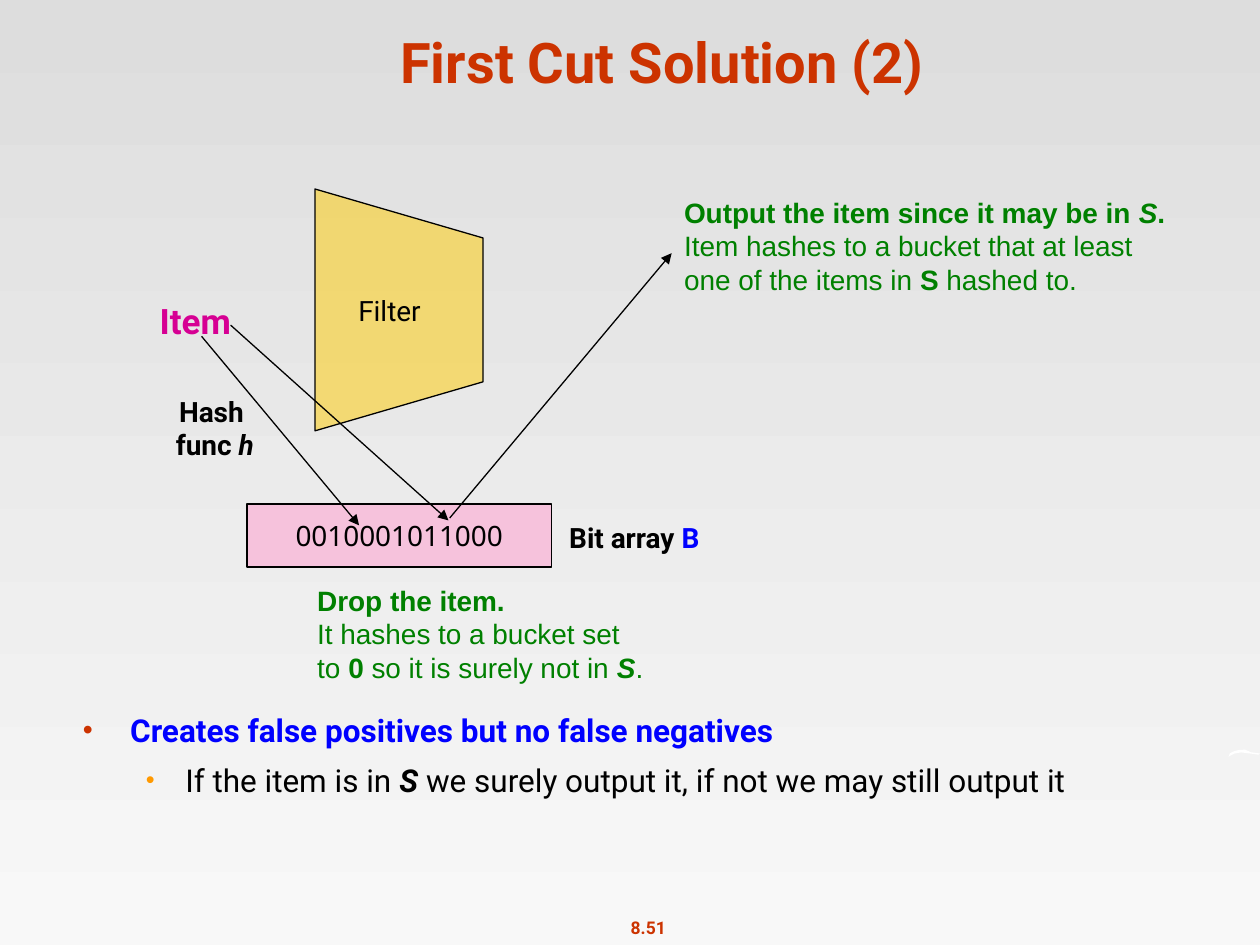
"""Build the slide on the first cut of a hash filter."""
from typing import NamedTuple, Optional

from lxml import etree
from pptx import Presentation, util as u
from pptx.dml import color
from pptx.enum import shapes, text
from pptx.oxml import ns

LEFT, CENTER = text.PP_ALIGN.LEFT, text.PP_ALIGN.CENTER
TOP, MIDDLE, BOTTOM = text.MSO_ANCHOR.TOP, text.MSO_ANCHOR.MIDDLE, text.MSO_ANCHOR.BOTTOM
RED, BLUE, GREEN, BLACK = "CC3300", "0000FF", "008000", "000000"


class Span(NamedTuple):
    text: str
    bold: Optional[bool] = None
    italic: Optional[bool] = None
    hue: Optional[str] = None


class Para(NamedTuple):
    spans: list
    bold: bool = False
    hue: str = BLACK
    bullet: Optional[tuple] = None


class Style(NamedTuple):
    size: float = 16
    face: str = "Roboto"
    align: text.PP_ALIGN = LEFT
    anchor: text.MSO_ANCHOR = TOP
    wrap: bool = False


class Label(NamedTuple):
    at: tuple
    paras: list
    style: Style = Style()


class Arrow(NamedTuple):
    start: tuple
    end: tuple


def rgb(value: str) -> color.RGBColor:
    return color.RGBColor.from_string(value)


def points(values: tuple) -> list:
    return [u.Pt(value) for value in values]


def add_bullet(paragraph, indent: float, hang: float, hue: str, percent: int) -> None:
    props = paragraph._p.get_or_add_pPr()
    props.set("marL", str(u.Pt(indent)))
    props.set("indent", str(-u.Pt(hang)))
    bullet_color = etree.SubElement(props, ns.qn("a:buClr"))
    etree.SubElement(bullet_color, ns.qn("a:srgbClr")).set("val", hue)
    etree.SubElement(props, ns.qn("a:buSzPct")).set("val", str(percent * 1000))
    etree.SubElement(props, ns.qn("a:buFont")).set("typeface", "Arial")
    etree.SubElement(props, ns.qn("a:buChar")).set("char", "•")


def write(frame, paras: list, style: Style) -> None:
    frame.word_wrap = style.wrap
    frame.vertical_anchor = style.anchor
    for index, para in enumerate(paras):
        paragraph = frame.add_paragraph() if index else frame.paragraphs[0]
        paragraph.alignment = style.align
        paragraph.font.size = u.Pt(style.size)
        paragraph.font.name = style.face
        paragraph.font.bold = para.bold
        paragraph.font.color.rgb = rgb(para.hue)
        if para.bullet:
            paragraph.level = index
            paragraph.space_before = u.Pt(7 * index)
            add_bullet(paragraph, *para.bullet)
        for span in para.spans:
            for number, line in enumerate(span.text.split("\n")):
                if number:
                    paragraph.add_line_break()
                run = paragraph.add_run()
                run.text = line
                run.font.size = u.Pt(style.size)
                run.font.name = style.face
                run.font.bold = para.bold if span.bold is None else span.bold
                run.font.italic = span.italic
                run.font.color.rgb = rgb(span.hue or para.hue)


def add_label(page, label: Label) -> None:
    box = page.shapes.add_textbox(*points(label.at))
    write(box.text_frame, label.paras, label.style)


def paint(shape, fill: str, line: Optional[str] = None, alpha: int = 100) -> None:
    shape.shadow.inherit = False
    shape.fill.solid()
    shape.fill.fore_color.rgb = rgb(fill)
    if alpha < 100:
        solid = shape._element.spPr.find(ns.qn("a:solidFill"))
        etree.SubElement(solid[0], ns.qn("a:alpha")).set("val", str(alpha * 1000))
    if line:
        shape.line.color.rgb = rgb(line)
        shape.line.width = u.Pt(0.75)
    else:
        shape.line.fill.background()


def add_outline(page, corners: list):
    first, *rest = [points(corner) for corner in corners]
    builder = page.shapes.build_freeform(*first)
    builder.add_line_segments(rest, close=True)
    return builder.convert_to_shape()


def add_arrow(page, arrow: Arrow) -> None:
    line = page.shapes.add_connector(
        shapes.MSO_CONNECTOR.STRAIGHT, *points(arrow.start + arrow.end))
    line.line.color.rgb = rgb(BLACK)
    line.line.width = u.Pt(0.75)
    etree.SubElement(line.line._get_or_add_ln(), ns.qn("a:tailEnd")).set("type", "triangle")
    etree.SubElement(line._element.spPr, ns.qn("a:effectLst"))


SWOOSH = [(702, 432.7), (702.7, 430.6), (704.9, 429.4), (707.8, 428.6), (711.4, 428.4),
          (715, 429.9), (720, 430.6), (719.3, 431.3), (714.2, 430.6), (709.2, 430),
          (705.6, 430.6), (702.7, 432)]
FILTER = [(180, 246.2), (276, 218.2), (276, 136), (180, 108)]
ARROWS = [Arrow((131.8, 185.8), (256.3, 297.4)),
          Arrow((257, 296), (383.8, 144.7)),
          Arrow((115.2, 192.2), (205.2, 300.2))]
CENTERED = Style(align=CENTER, anchor=MIDDLE)
LABELS = [
    Label((352.8, 520.6, 35.3, 19.4), [Para([Span("8.51")], True, RED)],
          Style(10, align=CENTER)),
    Label((60.5, 9.4, 635.8, 48.2), [Para([Span("First Cut Solution (2)")], True, RED)],
          Style(32, align=CENTER, anchor=BOTTOM, wrap=True)),
    Label((40.3, 402.8, 659.5, 125.3), [
        Para([Span("Creates false positives but no false negatives")], True, BLUE,
             (27, 27, RED, 90)),
        Para([Span("If the item is in "), Span("S", True, True),
              Span(" we surely output it, if not we may still output it")],
             bullet=(58.5, 22.5, "FF9900", 80))], Style(18, wrap=True)),
    Label((84.2, 167.8, 55.4, 31.7), [Para([Span("Item")], True, "D60093")], Style(20)),
    Label((383.8, 108, 327.6, 72.7), [
        Para([Span("Output the item since it may be in "), Span("S", italic=True), Span(".")],
             True, GREEN),
        Para([Span("Item hashes to a bucket that at least \none of the items in "),
              Span("S", True), Span(" hashed to.")], hue=GREEN)], Style(face="Arial")),
    Label((89.3, 221.8, 67, 51.1),
          [Para([Span("Hash \nfunc "), Span("h", italic=True)], True)],
          Style(align=CENTER, wrap=True)),
    Label((174.2, 329.8, 226.8, 72.7), [
        Para([Span("Drop the item.")], True, GREEN),
        Para([Span("It hashes to a bucket set \nto "), Span("0", True),
              Span(" so it is surely not in "), Span("S", True, True), Span(".")],
             hue=GREEN)], Style(face="Arial")),
    Label((318.2, 293.8, 97.2, 28.8),
          [Para([Span("Bit array "), Span("B", hue=BLUE)], True)]),
]


def main() -> None:
    deck = Presentation()
    deck.slide_width, deck.slide_height = u.Pt(720), u.Pt(540)
    page = deck.slides.add_slide(deck.slide_layouts[6])
    backdrop = page.background.fill
    backdrop.gradient()
    backdrop.gradient_angle = 270
    for stop, hue in zip(backdrop.gradient_stops, ("DDDDDD", "F8F8F8")):
        stop.color.rgb = rgb(hue)

    paint(add_outline(page, SWOOSH), "FFFFFF")
    funnel = add_outline(page, FILTER)
    paint(funnel, "FFCC00", BLACK, 50)
    funnel.text_frame.margin_right = u.Pt(18)
    write(funnel.text_frame, [Para([Span("Filter")])], CENTERED)
    bits = page.shapes.add_shape(
        shapes.MSO_SHAPE.RECTANGLE, *points((141.1, 288, 174.2, 36)))
    paint(bits, "FF99CC", BLACK, 50)
    write(bits.text_frame, [Para([Span("0010001011000")])], CENTERED._replace(face="Noto Sans"))
    for arrow in ARROWS:
        add_arrow(page, arrow)
    for label in LABELS:
        add_label(page, label)
    deck.save("out.pptx")


main()
